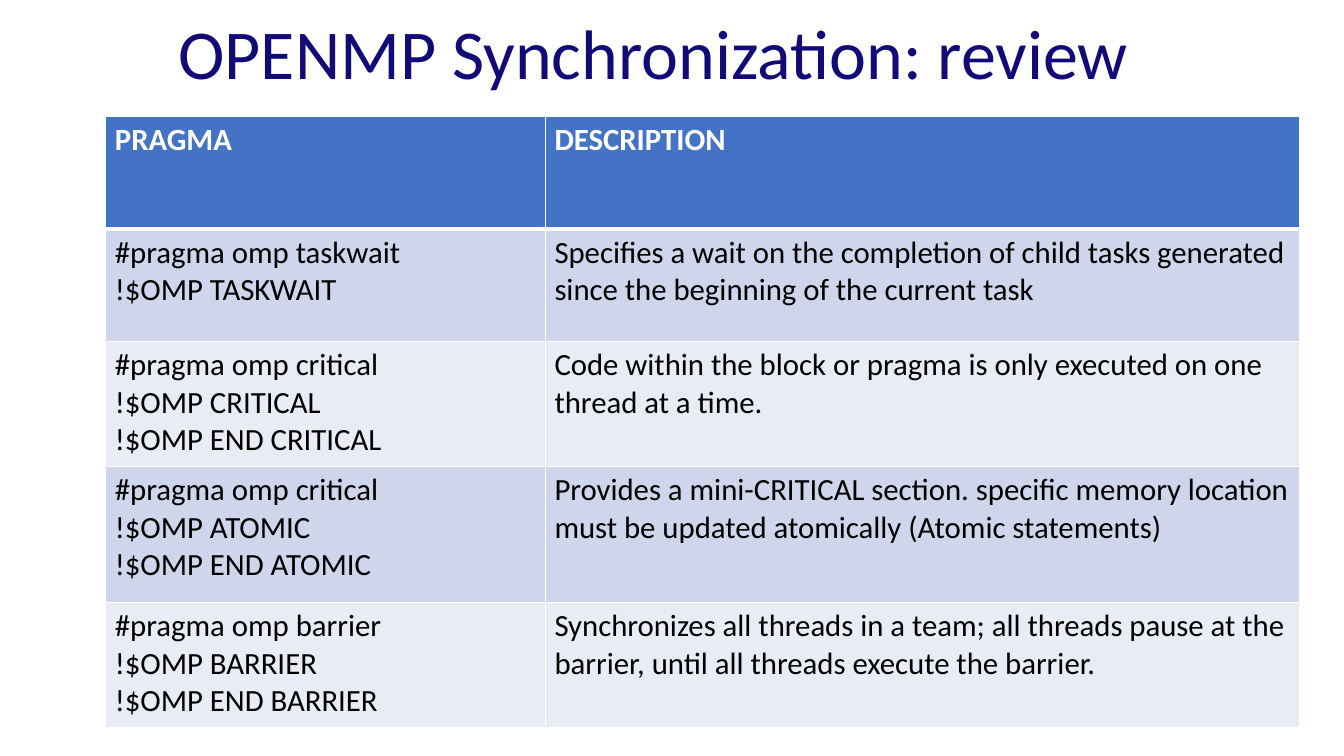
from dataclasses import dataclass

from lxml.etree import SubElement
from pptx import Presentation
from pptx.dml.color import RGBColor as RGB
from pptx.enum.text import MSO_ANCHOR as Anchor, PP_ALIGN as Align
from pptx.oxml.ns import qn
from pptx.util import Inches, Pt

COLORS = {
    "title": "120A76",
    "header": "4472C4",
    "odd": "CFD5EA",
    "even": "E9EBF5",
    "white": "FFFFFF",
    "text": "000000",
}
FONT = "Calibri"
COLUMN_WIDTHS = (4.36, 7.48)


@dataclass(frozen=True)
class Row:
    height: float
    pragma: str
    description: str


ROWS = (
    Row(1.12, "PRAGMA", "DESCRIPTION"),
    Row(1.12, "#pragma omp taskwait\n!$OMP TASKWAIT",
        "Specifies a wait on the completion of child tasks generated "
        "since the beginning of the current task"),
    Row(1.24, "#pragma omp critical\n!$OMP CRITICAL\n!$OMP END CRITICAL",
        "Code within the block or pragma is only executed on one thread at a time."),
    Row(1.35, "#pragma omp critical\n!$OMP ATOMIC\n!$OMP END ATOMIC",
        "Provides a mini-CRITICAL section. specific memory location "
        "must be updated atomically (Atomic statements)"),
    Row(1.24, "#pragma omp barrier\n!$OMP BARRIER\n!$OMP END BARRIER",
        "Synchronizes all threads in a team; all threads pause at the barrier, "
        "until all threads execute the barrier."),
)


def set_font(font, size: float, color: str, bold: bool = False) -> None:
    font.name, font.size, font.bold = FONT, Pt(size), bold
    font.color.rgb = RGB.from_string(COLORS[color])


def set_borders(cell, top: float, bottom: float) -> None:
    """Draw white borders; widths are in points. Call before setting the fill."""
    tc_pr = cell._tc.get_or_add_tcPr()
    for side, width in (("L", 1), ("R", 1), ("T", top), ("B", bottom)):
        ln = SubElement(tc_pr, qn(f"a:ln{side}"), w=str(Pt(width)))
        fill = SubElement(ln, qn("a:solidFill"))
        SubElement(fill, qn("a:srgbClr"), val=COLORS["white"])


def format_cell(cell, text: str, row_index: int) -> None:
    is_header = row_index == 0
    cell.text = text
    cell.margin_left = cell.margin_right = Inches(0.09)
    cell.margin_top = cell.margin_bottom = Inches(0.05)
    for p in cell.text_frame.paragraphs:
        set_font(p.font, 22, "white" if is_header else "text", is_header)
    set_borders(cell, 3 if row_index == 1 else 1, 3 if is_header else 1)
    band = "header" if is_header else "odd" if row_index % 2 else "even"
    cell.fill.solid()
    cell.fill.fore_color.rgb = RGB.from_string(COLORS[band])


def add_title(slide, text: str) -> None:
    sp = slide.shapes.title
    sp.left, sp.top = Inches(1.67), Inches(0.03)
    sp.width, sp.height = Inches(9.94), Inches(1.07)
    tf = sp.text_frame
    tf.text = text
    tf.word_wrap = True
    tf.vertical_anchor = Anchor.MIDDLE
    p = tf.paragraphs[0]
    p.alignment, p.line_spacing = Align.LEFT, 0.9
    set_font(p.font, 50, "title")


def add_pragma_table(slide) -> None:
    table = slide.shapes.add_table(
        len(ROWS), len(COLUMN_WIDTHS), Inches(1.05), Inches(1.15),
        Inches(sum(COLUMN_WIDTHS)), Inches(sum(row.height for row in ROWS)),
    ).table
    for column, width in zip(table.columns, COLUMN_WIDTHS):
        column.width = Inches(width)
    for i, row in enumerate(ROWS):
        table.rows[i].height = Inches(row.height)
        for j, text in enumerate((row.pragma, row.description)):
            format_cell(table.cell(i, j), text, i)


def main() -> None:
    prs = Presentation()
    prs.slide_width, prs.slide_height = Inches(13.33), Inches(7.5)
    slide = prs.slides.add_slide(prs.slide_layouts.get_by_name("Title Only"))
    add_title(slide, "OPENMP Synchronization: review")
    add_pragma_table(slide)
    prs.save("out.pptx")


if __name__ == "__main__":
    main()
